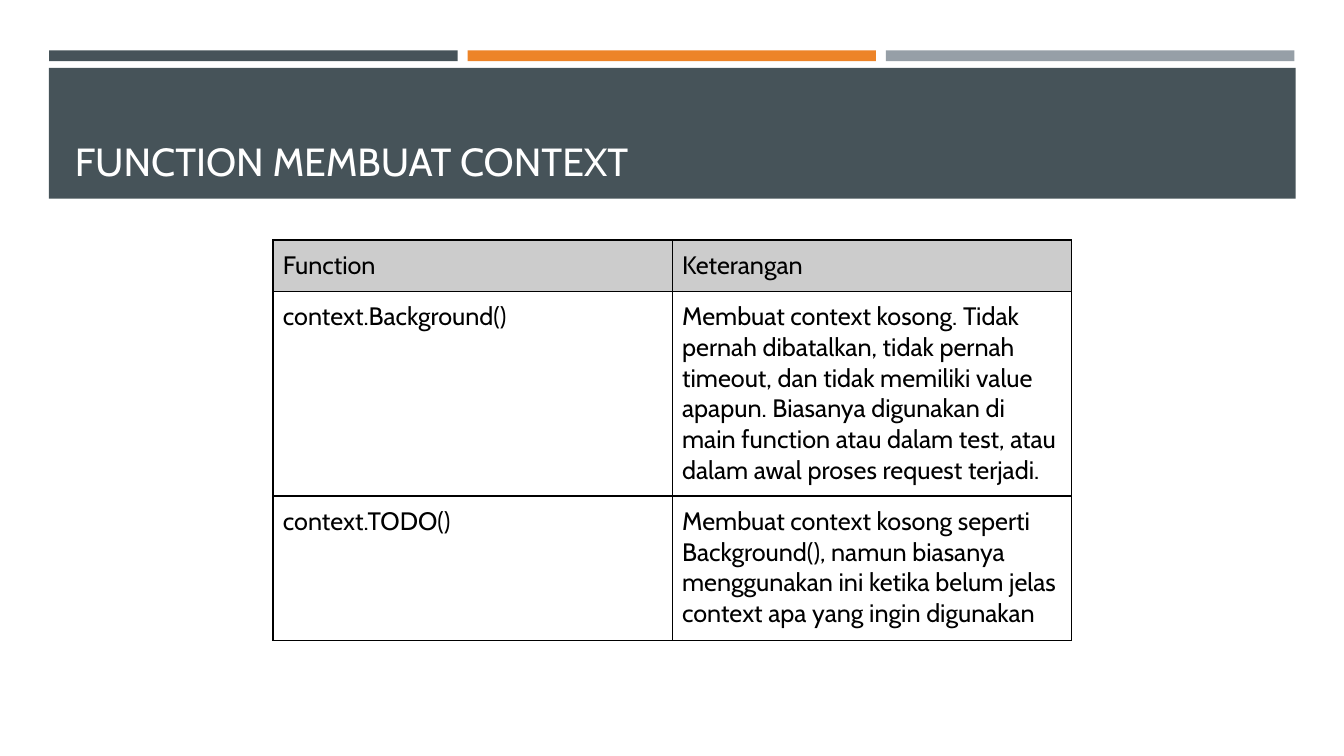
import dataclasses

import lxml.etree
import pptx
import pptx.dml.color
import pptx.enum.shapes
import pptx.enum.text
import pptx.oxml.ns
import pptx.util

Cm = pptx.util.Cm


@dataclasses.dataclass(frozen=True)
class Theme:
    """Colours, typeface and sizes of the slide."""
    slate: str = "465359"
    orange: str = "ED8428"
    grey: str = "969FA7"
    header: str = "CCCCCC"
    white: str = "FFFFFF"
    black: str = "000000"
    typeface: str = "Cabin"
    title_size: int = 28
    table_size: int = 18
    border: int = 1


THEME = Theme()
FUNCTIONS = [
    ("Function", "Keterangan"),
    ("context.Background()",
     "Membuat context kosong. Tidak pernah dibatalkan, tidak pernah timeout, "
     "dan tidak memiliki value apapun. Biasanya digunakan di main function "
     "atau dalam test, atau dalam awal proses request terjadi."),
    ("context.TODO()",
     "Membuat context kosong seperti Background(), namun biasanya menggunakan "
     "ini ketika belum jelas context apa yang ingin digunakan"),
]
ROW_HEIGHTS = (1.29, 5.16, 3.63)


def rgb(colour):
    """Return the colour object for a hex string."""
    return pptx.dml.color.RGBColor.from_string(colour)


def write(frame, text, size, colour, anchor=pptx.enum.text.MSO_ANCHOR.TOP):
    """Put formatted text into a text frame."""
    frame.word_wrap = True
    frame.auto_size = pptx.enum.text.MSO_AUTO_SIZE.NONE
    frame.vertical_anchor = anchor
    paragraph = frame.paragraphs[0]
    paragraph.alignment = pptx.enum.text.PP_ALIGN.LEFT
    run = paragraph.add_run()
    run.text = text
    run.font.name = THEME.typeface
    run.font.size = pptx.util.Pt(size)
    run.font.bold = False
    run.font.color.rgb = rgb(colour)


def add_block(slide, left, top, width, height, colour):
    """Add a plain filled rectangle."""
    block = slide.shapes.add_shape(
        pptx.enum.shapes.MSO_SHAPE.RECTANGLE,
        Cm(left), Cm(top), Cm(width), Cm(height))
    block.shadow.inherit = False
    block.fill.solid()
    block.fill.fore_color.rgb = rgb(colour)
    block.line.fill.background()


def add_stripes(slide, left, top, width, height, gap=0.25):
    """Divide a box into equal coloured stripes."""
    colours = (THEME.slate, THEME.orange, THEME.grey)
    stripe_width = (width - gap * (len(colours) - 1)) / len(colours)
    for index, colour in enumerate(colours):
        add_block(slide, left + index * (stripe_width + gap), top,
                  stripe_width, height, colour)


def add_title_band(slide, left, top, width, height, text):
    """Fill the band and set the title over it."""
    add_block(slide, left, top, width, height, THEME.slate)
    title = slide.shapes.title
    title.element.getparent().append(title.element)
    title.left, title.top = Cm(left + 0.4), Cm(top + 0.25)
    title.width, title.height = Cm(width - 0.8), Cm(height - 0.48)
    write(title.text_frame, text, THEME.title_size, THEME.white,
          anchor=pptx.enum.text.MSO_ANCHOR.BOTTOM)


def add_borders(cell):
    """Draw a thin line on every side of a cell."""
    properties = cell._tc.get_or_add_tcPr()
    qn = pptx.oxml.ns.qn
    for side in ("a:lnL", "a:lnR", "a:lnT", "a:lnB"):
        line = lxml.etree.SubElement(
            properties, qn(side), w=str(pptx.util.Pt(THEME.border)))
        fill = lxml.etree.SubElement(line, qn("a:solidFill"))
        lxml.etree.SubElement(fill, qn("a:srgbClr"), val=THEME.black)


def add_function_table(slide, left, top, width, row_heights, entries):
    """Add the table of functions and their descriptions."""
    table = slide.shapes.add_table(
        len(entries), len(entries[0]), Cm(left), Cm(top),
        Cm(width), Cm(sum(row_heights))).table
    table.first_row = table.horz_banding = False
    for row_index, entry in enumerate(entries):
        table.rows[row_index].height = Cm(row_heights[row_index])
        for column_index, text in enumerate(entry):
            cell = table.cell(row_index, column_index)
            cell.margin_left = cell.margin_right = Cm(0.25)
            cell.margin_top = cell.margin_bottom = Cm(0.25)
            add_borders(cell)
            if row_index == 0:
                cell.fill.solid()
                cell.fill.fore_color.rgb = rgb(THEME.header)
            else:
                cell.fill.background()
            write(cell.text_frame, text, THEME.table_size, THEME.black)


def main():
    """Build and save the slide."""
    deck = pptx.Presentation()
    deck.slide_width, deck.slide_height = Cm(33.87), Cm(19.05)
    slide = deck.slides.add_slide(deck.slide_layouts[5])
    add_stripes(slide, 1.24, 1.27, 31.38, 0.27)
    add_title_band(slide, 1.23, 1.71, 31.42, 3.3, "FUNCTION MEMBUAT CONTEXT")
    add_function_table(slide, 6.88, 6.05, 20.12, ROW_HEIGHTS, FUNCTIONS)
    deck.save("out.pptx")


main()
